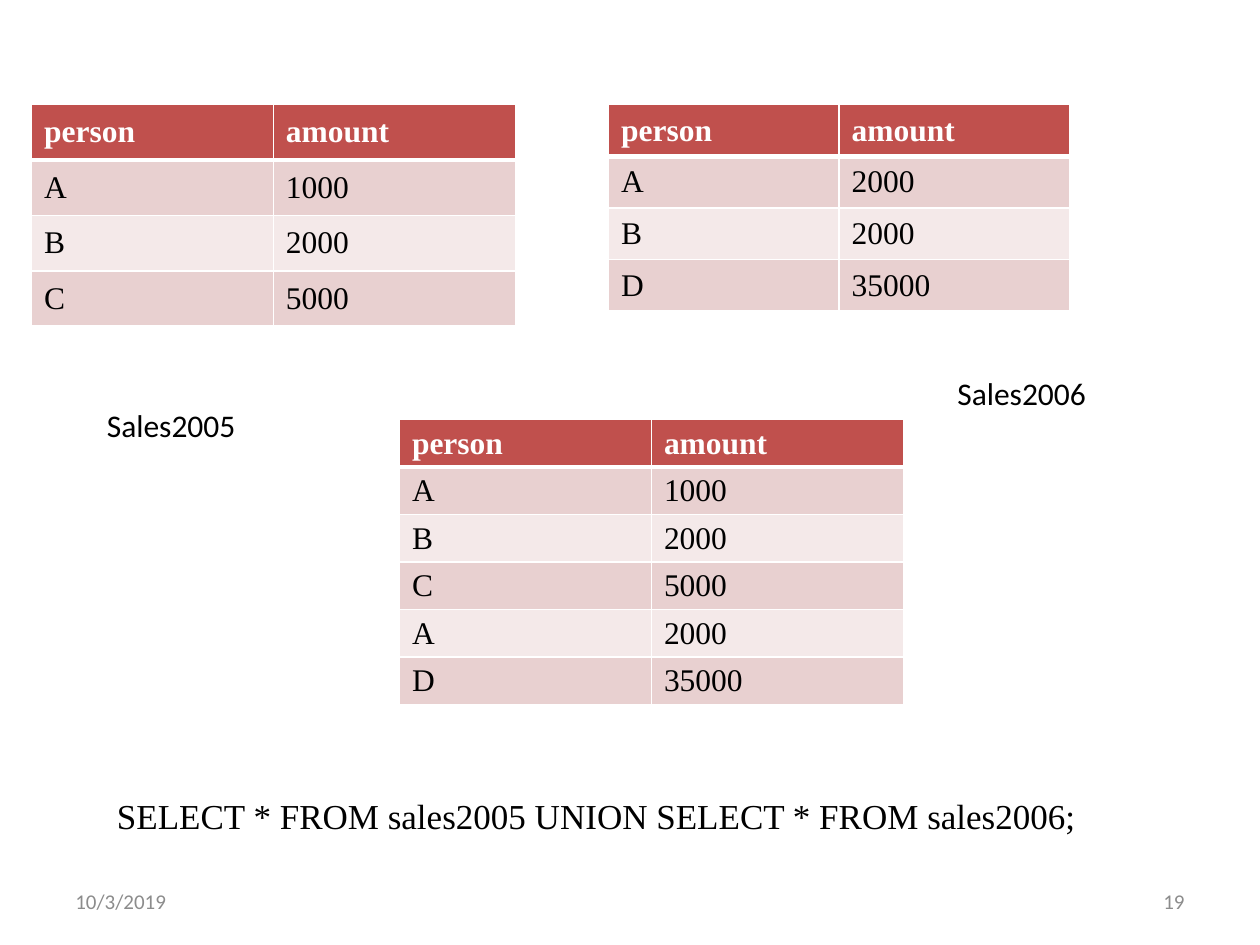
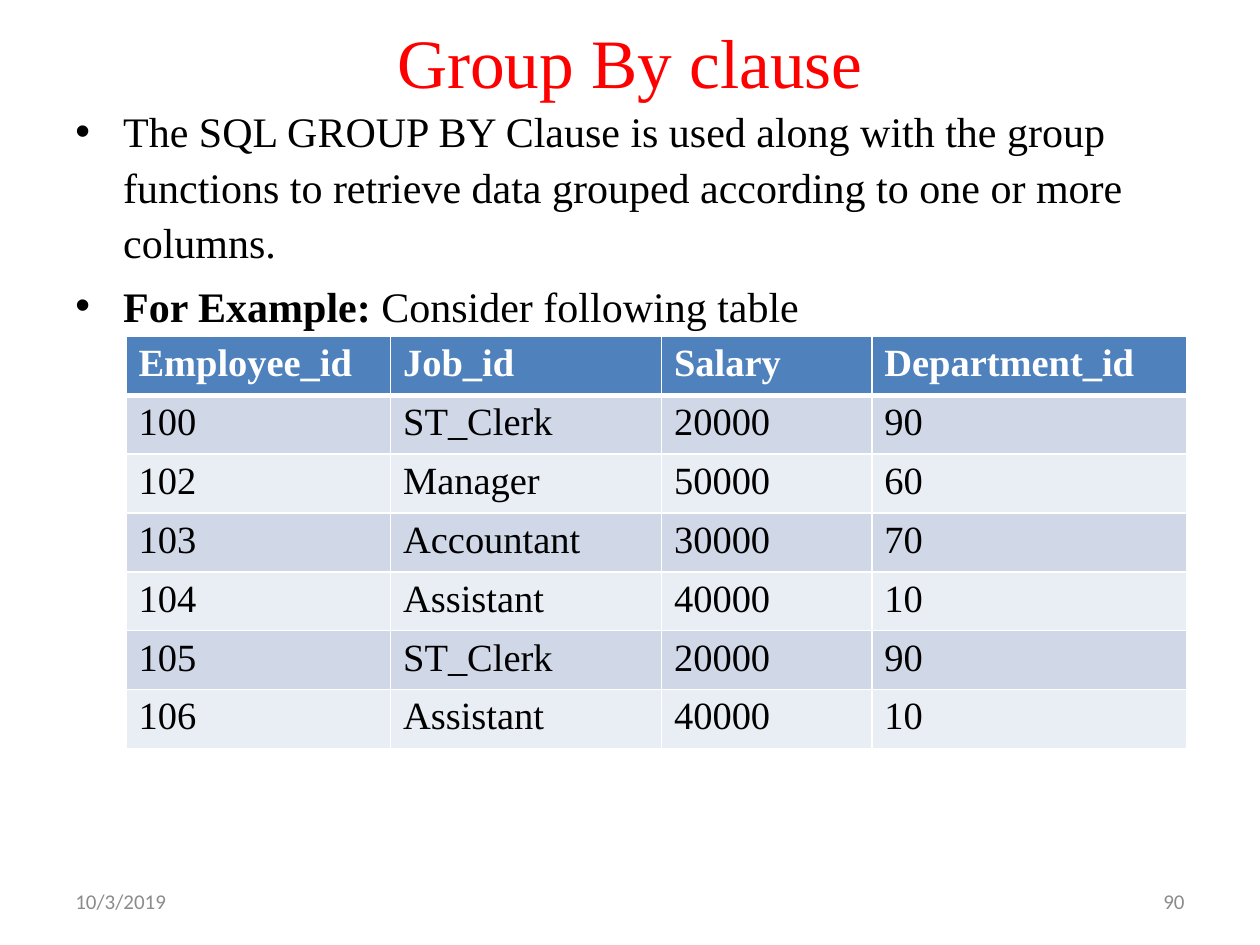
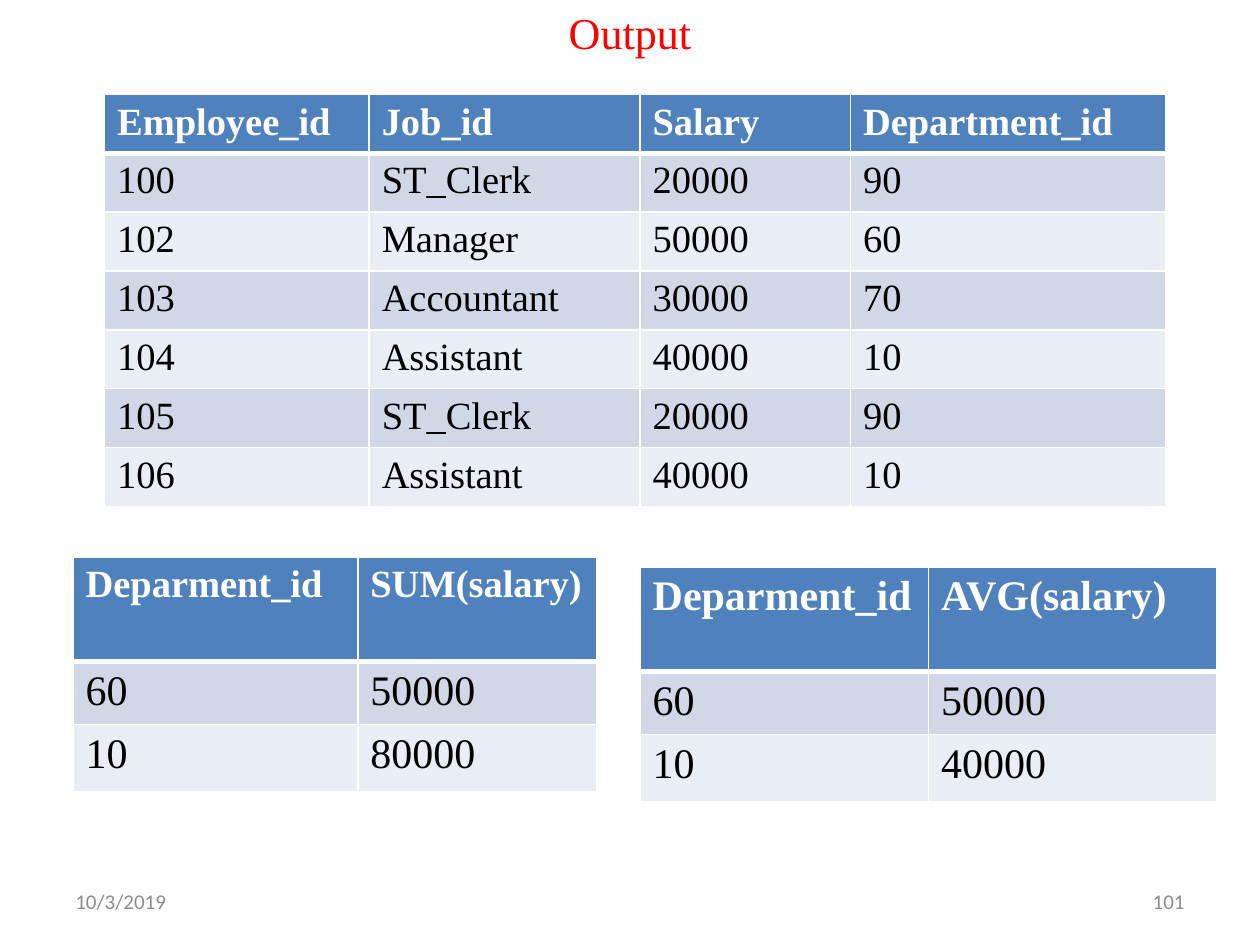
from lxml import etree
from pptx import Presentation
from pptx import util as u
from pptx.dml import color
from pptx.enum import text
from pptx.oxml import ns

SERIF = "Times New Roman"
SANS = "Calibri"
BLACK, WHITE, GREY, RED = "000000", "FFFFFF", "8C8C8C", "FF0000"
RED_BANDS = ("C0504D", "E8D0D0", "F4E9E9")
BLUE_BANDS = ("4F81BD", "D0D8E8", "E9EDF4")
DATE = "10/3/2019"

EMPLOYEE_WIDTHS = (2.1, 2.15, 1.67, 2.5)
EMPLOYEES = (
    ("Employee_id", "Job_id", "Salary", "Department_id"),
    ("100", "ST_Clerk", "20000", "90"),
    ("102", "Manager", "50000", "60"),
    ("103", "Accountant", "30000", "70"),
    ("104", "Assistant", "40000", "10"),
    ("105", "ST_Clerk", "20000", "90"),
    ("106", "Assistant", "40000", "10"),
)
SALES_HEADER = ("person", "amount")
SALES_2005 = (SALES_HEADER, ("A", "1000"), ("B", "2000"), ("C", "5000"))
SALES_2006 = (SALES_HEADER, ("A", "2000"), ("B", "2000"), ("D", "35000"))
SALES_UNION = SALES_2005 + (("A", "2000"), ("D", "35000"))
SUMS = (("Deparment_id", "SUM(salary)"), ("60", "50000"), ("10", "80000"))
AVERAGES = (("Deparment_id", "AVG(salary)"), ("60", "50000"), ("10", "40000"))
SUMMARY_HEIGHTS = (0.83, 0.41, 0.53)


def rgb(value):
    return color.RGBColor.from_string(value)


class Deck:
    def __init__(self):
        self.presentation = Presentation()
        self.presentation.slide_width = u.Inches(10)
        self.presentation.slide_height = u.Inches(7.5)
        self.slide = None

    def new_slide(self):
        self.slide = self.presentation.slides.add_slide(self.presentation.slide_layouts[6])

    def add_run(self, paragraph, words, size, font, ink, bold=False):
        run = paragraph.add_run()
        run.text = words
        run.font.size = u.Pt(size)
        run.font.name = font
        run.font.bold = bold
        run.font.color.rgb = rgb(ink)

    def text_box(self, box, middle=False, grow=False):
        shape = self.slide.shapes.add_textbox(*map(u.Inches, box))
        frame = shape.text_frame
        frame.word_wrap = True
        if middle:
            frame.vertical_anchor = text.MSO_ANCHOR.MIDDLE
        if grow:
            frame.auto_size = text.MSO_AUTO_SIZE.SHAPE_TO_FIT_TEXT
        return frame

    def line(self, box, words, size, font=SERIF, ink=BLACK, align=text.PP_ALIGN.LEFT,
             middle=True, grow=False):
        paragraph = self.text_box(box, middle, grow).paragraphs[0]
        paragraph.alignment = align
        self.add_run(paragraph, words, size, font, ink)

    def title(self, words, top, height, size):
        self.line((0.5, top, 9, height), words, size, ink=RED, align=text.PP_ALIGN.CENTER)

    def label(self, left, top, words):
        self.line((left, top, 1.5, 0.4), words, 18, SANS, middle=False, grow=True)

    def footer(self, number):
        self.line((7.17, 6.95, 2.33, 0.4), number, 12, SANS, GREY, text.PP_ALIGN.RIGHT)
        self.line((0.5, 6.95, 2.33, 0.4), DATE, 12, SANS, GREY)

    def bullets(self, box, items, size):
        frame = self.text_box(box)
        for index, runs in enumerate(items):
            paragraph = frame.add_paragraph() if index else frame.paragraphs[0]
            paragraph.space_before = u.Pt(size * 0.2)
            paragraph.line_spacing = 1.1
            properties = paragraph._p.get_or_add_pPr()
            properties.set("marL", str(u.Inches(0.38)))
            properties.set("indent", str(-u.Inches(0.38)))
            etree.SubElement(properties, ns.qn("a:buFont"), typeface="Arial")
            etree.SubElement(properties, ns.qn("a:buChar"), char="•")
            for words, bold in runs:
                self.add_run(paragraph, words, size, SERIF, BLACK, bold)

    def cell_borders(self, cell, widths):
        properties = cell._tc.get_or_add_tcPr()
        for index, (side, width) in enumerate(zip("LRTB", widths)):
            border = etree.Element(ns.qn(f"a:ln{side}"), w=str(u.Pt(width)))
            fill = etree.SubElement(border, ns.qn("a:solidFill"))
            etree.SubElement(fill, ns.qn("a:srgbClr"), val=WHITE)
            properties.insert(index, border)

    def table(self, left, top, height, rows, widths, heights, bands, header_size,
              body_size, anchor=text.MSO_ANCHOR.TOP):
        box = map(u.Inches, (left, top, sum(widths), height))
        shape = self.slide.shapes.add_table(len(rows), len(widths), *box)
        table = shape.table
        for column, width in zip(table.columns, widths):
            column.width = u.Inches(width)
        for row_index, (row, values) in enumerate(zip(table.rows, rows)):
            row.height = u.Inches(heights[row_index])
            header = row_index == 0
            band = bands[0] if header else bands[2 - row_index % 2]
            borders = (1, 1, 3 if row_index == 1 else 1, 3 if header else 1)
            for cell, value in zip(row.cells, values):
                cell.vertical_anchor = anchor
                cell.fill.solid()
                cell.fill.fore_color.rgb = rgb(band)
                self.cell_borders(cell, borders)
                self.add_run(cell.text_frame.paragraphs[0], value,
                             header_size if header else body_size, SERIF,
                             WHITE if header else BLACK, header)
        shape.height = u.Inches(height)

    def sales_table(self, left, top, height, rows, column_width, row_height):
        self.table(left, top, height, rows, (column_width,) * 2, (row_height,) * len(rows),
                   RED_BANDS, 18, 18, text.MSO_ANCHOR.MIDDLE)

    def employee_table(self, left, top):
        self.table(left, top, 3.27, EMPLOYEES, EMPLOYEE_WIDTHS, (0.41,) * len(EMPLOYEES),
                   BLUE_BANDS, 22, 22)

    def summary_table(self, left, top, rows, widths, header_size):
        self.table(left, top, 1.87, rows, widths, SUMMARY_HEIGHTS, BLUE_BANDS, header_size, 24)


def union_slide(deck):
    deck.new_slide()
    deck.sales_table(0.25, 0.83, 1.75, SALES_2005, 1.92, 0.44)
    deck.sales_table(4.83, 0.83, 1.62, SALES_2006, 1.83, 0.41)
    deck.sales_table(3.17, 3.33, 2.4, SALES_UNION, 2, 0.36)
    deck.line((0.83, 6.25, 7.83, 0.44),
              "SELECT * FROM sales2005 UNION SELECT * FROM sales2006;", 20, grow=True)
    deck.label(0.75, 3.17, "Sales2005")
    deck.label(7.5, 2.92, "Sales2006")
    deck.footer("19")


def group_by_slide(deck):
    deck.new_slide()
    deck.title("Group By clause", 0.3, 0.37, 39.6)
    deck.bullets((0.5, 0.75, 9, 6.33), (
        (("The SQL GROUP BY Clause is used along with the group functions to retrieve "
          "data grouped according to one or more columns.", False),),
        (("For Example:", True), (" Consider following table", False)),
    ), 24)
    deck.employee_table(1, 2.67)
    deck.footer("90")


def output_slide(deck):
    deck.new_slide()
    deck.title("Output", 0, 0.5, 25.2)
    deck.summary_table(0.58, 4.42, SUMS, (2.26, 1.9), 22)
    deck.employee_table(0.83, 0.75)
    deck.summary_table(5.08, 4.5, AVERAGES, (2.29, 2.29), 24)
    deck.footer("101")


def main():
    deck = Deck()
    union_slide(deck)
    group_by_slide(deck)
    output_slide(deck)
    deck.presentation.save("out.pptx")


if __name__ == "__main__":
    main()
